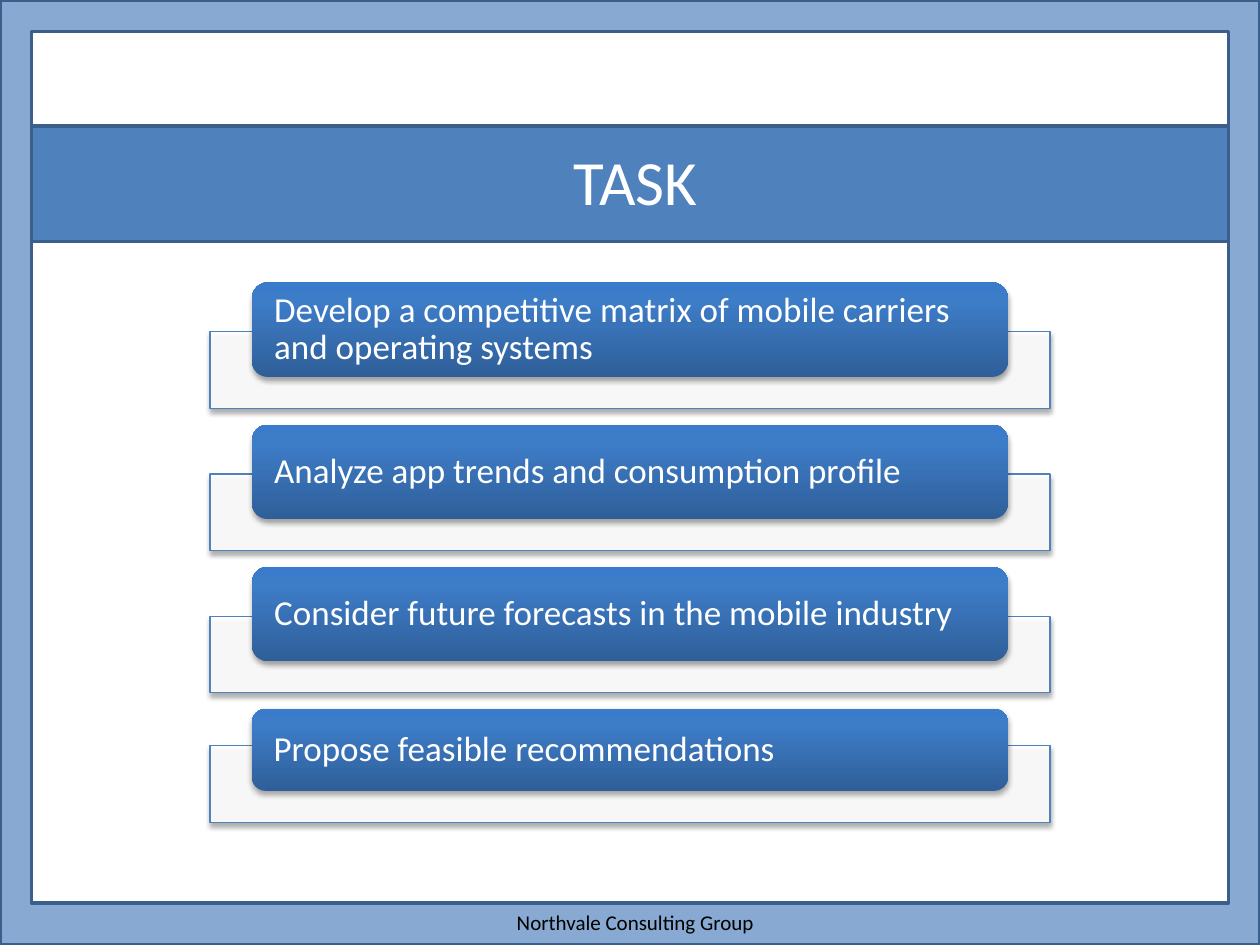
from lxml import etree
from pptx import Presentation
from pptx.dml.color import RGBColor
from pptx.enum.shapes import MSO_SHAPE
from pptx.enum.text import MSO_ANCHOR, MSO_AUTO_SIZE, PP_ALIGN
from pptx.oxml.ns import qn
from pptx.util import Inches, Pt

RECT, ROUND_RECT = MSO_SHAPE.RECTANGLE, MSO_SHAPE.ROUNDED_RECTANGLE
LEFT, CENTER = PP_ALIGN.LEFT, PP_ALIGN.CENTER
MIDDLE = MSO_ANCHOR.MIDDLE
GROW = MSO_AUTO_SIZE.SHAPE_TO_FIT_TEXT

WHITE = RGBColor(0xFF, 0xFF, 0xFF)
BLACK = RGBColor(0x00, 0x00, 0x00)
BLUE = RGBColor(0x4F, 0x81, 0xBD)
DARK_BLUE = RGBColor(0x3A, 0x5F, 0x8C)
PILL_STOPS = (
    (0, RGBColor(0x2F, 0x5F, 0x99)),
    (80, RGBColor(0x3D, 0x7C, 0xC7)),
    (100, RGBColor(0x3A, 0x7C, 0xCB)),
)

FONT = "Calibri"
COLS, ROWS = 120, 90
CELL = Inches(10) / COLS

FIRST_TASK_ROW, TASK_PITCH = 26.9, 13.54
BACK_HEIGHT, BACK_DROP = 7.3, 3
TASKS = (
    ("Develop a competitive matrix of mobile carriers and operating systems", 9),
    ("Analyze app trends and consumption profile", 9),
    ("Consider future forecasts in the mobile industry", 9),
    ("Propose feasible recommendations", 7.8),
)


def cells(*values):
    """Turn grid columns and rows into lengths."""
    return [round(v * CELL) for v in values]


def add_color(parent, color, alpha=100):
    clr = etree.SubElement(parent, qn("a:srgbClr"), val=str(color))
    etree.SubElement(clr, qn("a:alpha"), val=str(alpha * 1000))


def add_box(slide, shape, box, fill=None, line=None, width=2, alpha=100):
    sp = slide.shapes.add_shape(shape, *cells(*box))
    sp.shadow.inherit = False
    if fill is not None:
        sp.fill.solid()
        sp.fill.fore_color.rgb = fill
        clr = sp._element.spPr.find(qn("a:solidFill"))[0]
        etree.SubElement(clr, qn("a:alpha"), val=str(alpha * 1000))
    if line is None:
        sp.line.fill.background()
    else:
        sp.line.color.rgb = line
        sp.line.width = Pt(width)
    return sp


def add_shadow(sp):
    effects = sp._element.spPr.find(qn("a:effectLst"))
    shadow = etree.SubElement(
        effects, qn("a:outerShdw"), blurRad=str(Pt(3.1)), dist=str(Pt(1.8)),
        dir="5400000", rotWithShape="0")
    add_color(shadow, BLACK, 35)


def fill_gradient(sp, stops):
    """Fill from bottom to top with (percent, colour) stops."""
    sp.fill.gradient()
    sp.fill.gradient_angle = 90
    stop_list = sp._element.spPr.find(qn("a:gradFill")).find(qn("a:gsLst"))
    for gs in list(stop_list):
        stop_list.remove(gs)
    for pos, color in stops:
        gs = etree.SubElement(stop_list, qn("a:gs"), pos=str(pos * 1000))
        add_color(gs, color)


def write(tf, text, size, color, align):
    tf.word_wrap = True
    tf.text = text
    p = tf.paragraphs[0]
    p.alignment = align
    font = p.runs[0].font
    font.name, font.size, font.color.rgb = FONT, Pt(size), color


def add_label(slide, box, text, size, color):
    tf = slide.shapes.add_textbox(*cells(*box)).text_frame
    write(tf, text, size, color, CENTER)
    tf.auto_size = GROW


def add_task(slide, row, height, text):
    back_row = row + height + BACK_DROP - BACK_HEIGHT
    back = add_box(slide, RECT, (20, back_row, 80, BACK_HEIGHT),
                   WHITE, BLUE, 0.75, 90)
    add_shadow(back)

    pill = add_box(slide, ROUND_RECT, (24, row, 72, height))
    fill_gradient(pill, PILL_STOPS)
    add_shadow(pill)
    tf = pill.text_frame
    write(tf, text, 20, WHITE, LEFT)
    tf.paragraphs[0].line_spacing = 0.9
    tf.vertical_anchor = MIDDLE
    tf.margin_left = tf.margin_right = Inches(0.14)
    tf.margin_top = tf.margin_bottom = 0


def main():
    prs = Presentation()
    prs.slide_width, prs.slide_height = cells(COLS, ROWS)
    slide = prs.slides.add_slide(prs.slide_layouts[6])

    add_box(slide, RECT, (0, 0, COLS, ROWS), BLUE, DARK_BLUE, alpha=68)
    add_label(slide, (20, 86, 81, 3.6), "Northvale Consulting Group", 12, BLACK)
    add_box(slide, RECT, (3, 3, COLS - 6, 83), WHITE, DARK_BLUE)
    add_box(slide, RECT, (3, 12, COLS - 6, 11), BLUE, DARK_BLUE)
    add_label(slide, (24, 13, 73, 8.5), "TASK", 36, WHITE)

    for i, (text, height) in enumerate(TASKS):
        add_task(slide, FIRST_TASK_ROW + i * TASK_PITCH, height, text)

    prs.save("out.pptx")


if __name__ == "__main__":
    main()
